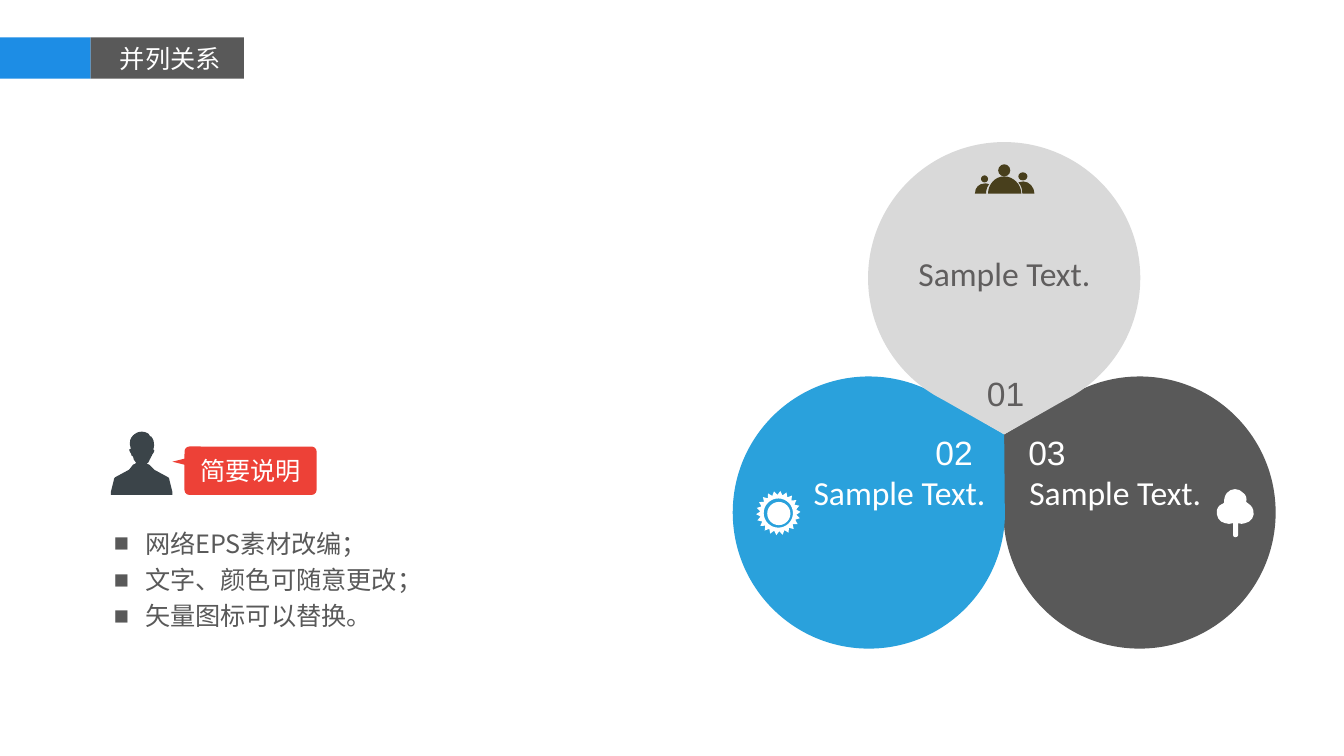
import math
from dataclasses import dataclass
from typing import NamedTuple

from lxml import etree
from pptx import Presentation
from pptx import util as u
from pptx.dml.color import RGBColor
from pptx.enum import shapes, text
from pptx.oxml import ns

PX = 9144  # EMU in one px, at 100 px to the inch
Point = tuple[float, float]
Geo = shapes.MSO_SHAPE


@dataclass(frozen=True)
class Theme:
    blue: str = "1D8DE5"
    sky: str = "2AA1DC"
    dark: str = "595959"
    pale: str = "D9D9D9"
    label: str = "605E5E"
    red: str = "ED4137"
    slate: str = "3B4449"
    brown: str = "483F1C"
    white: str = "FFFFFF"
    latin: str = "Calibri"
    number: str = "Arial"
    cjk: str = "Noto Sans CJK SC"
    body: int = 18
    display: int = 24


THEME = Theme()


class Box(NamedTuple):
    left: int
    top: int
    width: int
    height: int


class Block(NamedTuple):
    box: Box
    geometry: shapes.MSO_SHAPE
    color: str


class Petal(NamedTuple):
    turn: int
    color: str
    ink: str
    number: str
    number_box: Box
    caption_box: Box


class Contour(NamedTuple):
    """Steps of two numbers are lines; steps of six are Bézier curves."""
    start: Point
    steps: list[tuple[float, ...]]


HUB = (996, 431)
RADIUS, REACH, OPENING = 135, 155, 27

HEADER_BARS = [
    Block(Box(0, 37, 90, 41), Geo.RECTANGLE, THEME.blue),
    Block(Box(90, 37, 152, 41), Geo.RECTANGLE, THEME.dark),
]
PETALS = [
    Petal(120, THEME.dark, THEME.white, "03", Box(1010, 424, 58, 50), Box(1011, 463, 195, 50)),
    Petal(240, THEME.sky, THEME.white, "02", Box(918, 424, 58, 50), Box(797, 463, 195, 50)),
    Petal(0, THEME.pale, THEME.label, "01", Box(969, 365, 58, 50), Box(901, 246, 195, 50)),
]
DOTS = [
    Block(Box(990, 163, 12, 12), Geo.OVAL, THEME.brown),
    Block(Box(1010, 171, 9, 8), Geo.OVAL, THEME.brown),
    Block(Box(973, 174, 7, 7), Geo.OVAL, THEME.brown),
    Block(Box(761, 498, 23, 23), Geo.OVAL, THEME.white),
]
BUST = Contour((168, 476), [
    (168, 476, 169, 474, 164, 472), (153, 466), (148, 461),
    (146, 460, 144, 460, 147, 459), (148, 457, 149, 455, 150, 453),
    (150, 453, 151, 452, 151, 451), (151, 451, 155, 446, 152, 446),
    (152, 446, 155, 439, 150, 433), (149, 433), (148, 431, 147, 430, 147, 430),
    (138, 425, 132, 432, 132, 432), (126, 438, 130, 445, 130, 445),
    (126, 445, 130, 450, 130, 450), (130, 453, 131, 452, 131, 452), (132, 453),
    (132, 455, 133, 457, 135, 459), (136, 460, 133, 460, 132, 461), (128, 466),
    (117, 472), (112, 474, 113, 476, 113, 476), (110, 488), (110, 491),
    (171, 491), (171, 488),
])
PEOPLE = [
    Contour((996, 175), [
        (987, 175, 980, 183, 980, 192), (1013, 192), (1013, 183, 1005, 175, 996, 175)]),
    Contour((981, 183), [
        (980, 182, 978, 182, 977, 182), (971, 182, 967, 186, 967, 192), (978, 192),
        (978, 189, 979, 185, 981, 183)]),
    Contour((1015, 180), [
        (1013, 180, 1012, 180, 1010, 181), (1013, 184, 1014, 188, 1014, 192), (1026, 192),
        (1026, 186, 1021, 180, 1015, 180)]),
]
TREE = Contour((1243, 506), [
    (1242, 502, 1239, 500, 1236, 498), (1237, 495, 1236, 491, 1233, 489),
    (1229, 484, 1221, 484, 1217, 489), (1215, 491, 1214, 495, 1214, 499),
    (1211, 500, 1208, 502, 1207, 506), (1206, 512, 1209, 518, 1215, 519),
    (1218, 520, 1220, 520, 1223, 519), (1223, 531),
    (1223, 532, 1224, 533, 1225, 533), (1227, 533, 1228, 532, 1228, 531),
    (1228, 519), (1230, 520, 1233, 520, 1235, 519),
    (1241, 518, 1245, 512, 1243, 506),
])
NOTES = ["网络EPS素材改编；", "文字、颜色可随意更改；", "矢量图标可以替换。"]


def paint(shape, color: str) -> None:
    shape.shadow.inherit = False
    shape.fill.solid()
    shape.fill.fore_color.rgb = RGBColor.from_string(color)
    shape.line.fill.background()


def add_block(slide, block: Block):
    shape = slide.shapes.add_shape(block.geometry, *(v * PX for v in block.box))
    paint(shape, block.color)
    return shape


def add_outline(slide, contours: list[Contour], color: str) -> None:
    """Build a freeform through the knots, then bend the lines that are curves."""
    x, y = contours[0].start
    builder = slide.shapes.build_freeform(x * PX, y * PX, scale=1.0)
    for index, contour in enumerate(contours):
        if index:
            builder.move_to(contour.start[0] * PX, contour.start[1] * PX)
        builder.add_line_segments([(s[-2] * PX, s[-1] * PX) for s in contour.steps])
    shape = builder.convert_to_shape()
    lines = list(shape._element.iter(ns.qn("a:lnTo")))
    steps = [step for contour in contours for step in contour.steps]
    for line, step in zip(lines, steps):
        if len(step) == 6:
            line.tag = ns.qn("a:cubicBezTo")
            for i in (0, 2):
                control = etree.Element(ns.qn("a:pt"))
                control.set("x", str(round(step[i] * PX - shape.left)))
                control.set("y", str(round(step[i + 1] * PX - shape.top)))
                line.insert(i // 2, control)
    paint(shape, color)


def polar(center: Point, radius: float, degrees: float) -> Point:
    angle = math.radians(degrees)
    return center[0] + radius * math.cos(angle), center[1] + radius * math.sin(angle)


def arc_steps(center: Point, radius: float, angles: list[int]) -> list[tuple[float, ...]]:
    """Join the given angles of a circle by one Bézier curve each."""
    steps = []
    for begin, end in zip(angles, angles[1:]):
        pull = 4 / 3 * math.tan(math.radians(end - begin) / 4)
        (x1, y1), (x2, y2) = polar(center, radius, begin), polar(center, radius, end)
        cx, cy = center
        steps.append((x1 - pull * (y1 - cy), y1 + pull * (x1 - cx),
                      x2 + pull * (y2 - cy), y2 - pull * (x2 - cx), x2, y2))
    return steps


def petal_contour(turn: int) -> Contour:
    """A circle drawn out to a tip at the hub, turned clockwise from the top."""
    center = polar(HUB, REACH, turn - 90)
    first, last = turn + 90 + OPENING, turn + 450 - OPENING
    angles = [first, *(a for a in range(0, 721, 90) if first < a < last), last]
    return Contour(HUB, [polar(center, RADIUS, first), *arc_steps(center, RADIUS, angles), HUB])


def sun_contours() -> list[Contour]:
    center, teeth = (772, 509), 22
    rays = [polar(center, 18 if i % 2 else 22, i * 180 / teeth - 3) for i in range(2 * teeth)]
    hole = arc_steps(center, 14.5, [360, 270, 180, 90, 0])
    return [Contour(rays[0], rays[1:]), Contour(polar(center, 14.5, 0), hole)]


def add_run(paragraph, words: str, font: str, size: int, color: str) -> None:
    run = paragraph.add_run()
    run.text = words
    run.font.name = font
    run.font.size = u.Pt(size)
    run.font.color.rgb = RGBColor.from_string(color)
    etree.SubElement(run.font._element, ns.qn("a:ea")).set("typeface", THEME.cjk)


def add_frame(slide, box: Box, wrap: bool):
    frame = slide.shapes.add_textbox(*(v * PX for v in box)).text_frame
    frame.word_wrap = wrap
    frame.auto_size = text.MSO_AUTO_SIZE.SHAPE_TO_FIT_TEXT
    return frame


def add_notes(slide) -> None:
    frame = add_frame(slide, Box(103, 513, 389, 119), True)
    for index, note in enumerate(NOTES):
        paragraph = frame.add_paragraph() if index else frame.paragraphs[0]
        paragraph.line_spacing = 1.2
        props = paragraph._p.get_or_add_pPr()
        props.set("marL", str(31 * PX))
        props.set("indent", str(-31 * PX))
        etree.SubElement(props, ns.qn("a:buFont")).set("typeface", THEME.number)
        etree.SubElement(props, ns.qn("a:buChar")).set("char", "■")
        add_run(paragraph, note, THEME.cjk, THEME.body, THEME.dark)


def add_callout(slide) -> None:
    bubble = add_block(slide, Block(Box(183, 443, 131, 48), Geo.ROUNDED_RECTANGLE, THEME.red))
    bubble.adjustments[0] = 0.1
    frame = bubble.text_frame
    frame.margin_left = frame.margin_right = frame.margin_top = frame.margin_bottom = 0
    frame.vertical_anchor = text.MSO_ANCHOR.MIDDLE
    frame.paragraphs[0].alignment = text.PP_ALIGN.CENTER
    add_run(frame.paragraphs[0], "简要说明", THEME.cjk, THEME.body, THEME.white)
    pointer = add_block(slide, Block(Box(175, 450, 8, 16), Geo.ISOSCELES_TRIANGLE, THEME.red))
    pointer.rotation = 270


def main() -> None:
    deck = Presentation()
    deck.slide_width, deck.slide_height = 1333 * PX, 750 * PX
    slide = deck.slides.add_slide(deck.slide_layouts[6])

    for bar in HEADER_BARS:
        add_block(slide, bar)
    title = add_frame(slide, Box(109, 38, 121, 40), False)
    add_run(title.paragraphs[0], "并列关系", THEME.latin, THEME.body, THEME.white)
    add_outline(slide, [BUST], THEME.slate)
    add_notes(slide)
    add_callout(slide)

    for petal in PETALS:
        add_outline(slide, [petal_contour(petal.turn)], petal.color)
    for dot in DOTS:
        add_block(slide, dot)
    for person in PEOPLE:
        add_outline(slide, [person], THEME.brown)
    add_outline(slide, sun_contours(), THEME.white)
    add_outline(slide, [TREE], THEME.white)

    for petal in PETALS:
        number = add_frame(slide, petal.number_box, False)
        add_run(number.paragraphs[0], petal.number, THEME.number, THEME.display, petal.ink)
        caption = add_frame(slide, petal.caption_box, True)
        add_run(caption.paragraphs[0], "Sample Text.", THEME.latin, THEME.display, petal.ink)
    deck.save("out.pptx")


if __name__ == "__main__":
    main()
